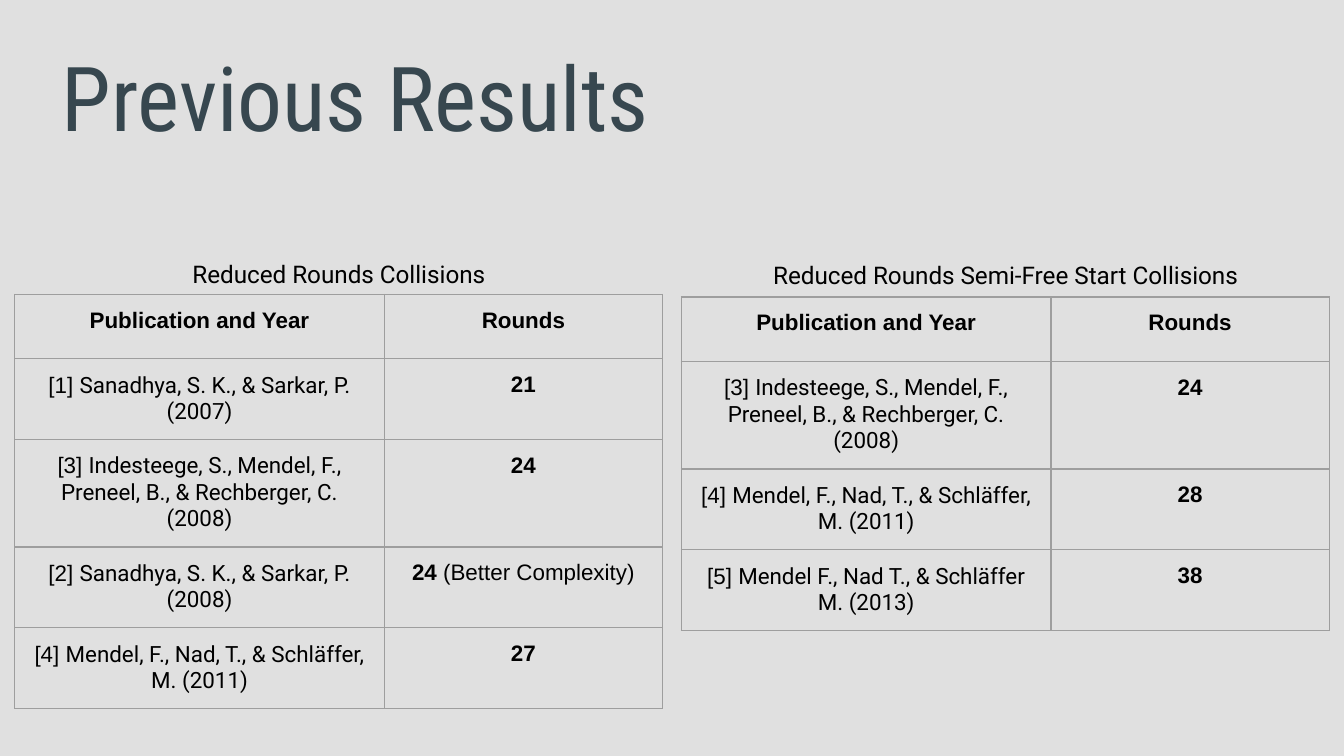
from lxml import etree
from pptx import Presentation
from pptx.dml.color import RGBColor
from pptx.enum.text import MSO_ANCHOR, PP_ALIGN
from pptx.oxml.ns import qn
from pptx.util import Inches, Pt

CENTER, LEFT = PP_ALIGN.CENTER, PP_ALIGN.LEFT
TOP, MIDDLE = MSO_ANCHOR.TOP, MSO_ANCHOR.MIDDLE

COLORS = {"background": "E0E0E0", "title": "37474F", "text": "000000", "border": "9E9E9E"}
PLAIN_TABLE_STYLE = "{2D5ABB26-0587-4C30-8999-92F81FD0307C}"
SLIDE_WIDTH = 10
SLIDE_HEIGHT = SLIDE_WIDTH * 9 / 16
PADDING = 0.1
COLUMNS = (2.75, 2.07)
ROW_HEIGHT, TALL_ROW_HEIGHT = 0.48, 0.69
TABLE_FRAME = 3.28
CAPTION_HEIGHT = 0.36
BORDER_WIDTH = 0.75

TITLE = "Previous Results"
HEADINGS = ("Publication and Year", "Rounds")
RESULTS = [
    {
        "caption": "Reduced Rounds Collisions",
        "left": 0.11,
        "caption_top": 1.83,
        "table_top": 2.19,
        "tall_rows": {2},
        "entries": [
            ("[1] ", "Sanadhya, S. K., & Sarkar, P. (2007)", "21", ""),
            ("[3] ", "Indesteege, S., Mendel, F., Preneel, B., & Rechberger, C. (2008)", "24", ""),
            ("[2] ", "Sanadhya, S. K., & Sarkar, P. (2008)", "24", " (Better Complexity)"),
            ("[4] ", "Mendel, F., Nad, T., & Schläffer, M. (2011)", "27", ""),
        ],
    },
    {
        "caption": "Reduced Rounds Semi-Free Start Collisions",
        "left": 5.07,
        "caption_top": 1.84,
        "table_top": 2.21,
        "tall_rows": set(),
        "entries": [
            ("[3] ", "Indesteege, S., Mendel, F., Preneel, B., & Rechberger, C. (2008)", "24", ""),
            ("[4] ", "Mendel, F., Nad, T., & Schläffer, M. (2011)", "28", ""),
            ("[5] ", "Mendel F., Nad T., & Schläffer M. (2013)", "38", ""),
        ],
    },
]


def rgb(name):
    return RGBColor.from_string(COLORS[name])


def write(frame, runs, size, color="text", align=CENTER):
    paragraph = frame.paragraphs[0]
    paragraph.alignment = align
    for text, font, bold in runs:
        run = paragraph.add_run()
        run.text = text
        run.font.name = font
        run.font.size = Pt(size)
        run.font.bold = bold
        run.font.color.rgb = rgb(color)


def set_padding(holder):
    holder.margin_left = holder.margin_right = Inches(PADDING)
    holder.margin_top = holder.margin_bottom = Inches(PADDING)


def add_text(slide, box, runs, size, color="text", align=CENTER, anchor=TOP):
    frame = slide.shapes.add_textbox(*map(Inches, box)).text_frame
    frame.word_wrap = True
    frame.vertical_anchor = anchor
    set_padding(frame)
    write(frame, runs, size, color, align)


def outline(cell):
    properties = cell._tc.get_or_add_tcPr()
    for side in ("a:lnL", "a:lnR", "a:lnT", "a:lnB"):
        line = etree.SubElement(properties, qn(side), w=str(Pt(BORDER_WIDTH)))
        fill = etree.SubElement(line, qn("a:solidFill"))
        etree.SubElement(fill, qn("a:srgbClr"), val=COLORS["border"])


def table_rows(entries):
    yield [[(heading, "Arial", True)] for heading in HEADINGS]
    for reference, publication, rounds, remark in entries:
        rounds_runs = [(rounds, "Arial", True)]
        if remark:
            rounds_runs.append((remark, "Arial", False))
        yield [[(reference, "Arial", False), (publication, "Roboto", False)], rounds_runs]


def add_results(slide, result):
    left = result["left"]
    rows = list(table_rows(result["entries"]))
    box = map(Inches, (left, result["table_top"], TABLE_FRAME, TABLE_FRAME))
    holder = slide.shapes.add_table(len(rows), len(COLUMNS), *box)
    table = holder.table
    table.first_row = table.horz_banding = False
    table._tbl.tblPr.find(qn("a:tableStyleId")).text = PLAIN_TABLE_STYLE
    for column, column_width in zip(table.columns, COLUMNS):
        column.width = Inches(column_width)
    for index, (row, contents) in enumerate(zip(table.rows, rows)):
        row.height = Inches(TALL_ROW_HEIGHT if index in result["tall_rows"] else ROW_HEIGHT)
        for cell, runs in zip(row.cells, contents):
            set_padding(cell)
            outline(cell)
            cell.fill.background()
            write(cell.text_frame, runs, 12)
    holder.width = holder.height = Inches(TABLE_FRAME)
    add_text(slide, (left, result["caption_top"], sum(COLUMNS), CAPTION_HEIGHT),
             [(result["caption"], "Roboto", False)], 13)


def main():
    deck = Presentation()
    deck.slide_width, deck.slide_height = Inches(SLIDE_WIDTH), Inches(SLIDE_HEIGHT)
    slide = deck.slides.add_slide(deck.slide_layouts[6])
    slide.background.fill.solid()
    slide.background.fill.fore_color.rgb = rgb("background")
    add_text(slide, (0.36, 0.1, 8.89, 1.22), [(TITLE, "Roboto Condensed", False)],
             48, "title", LEFT, MIDDLE)
    for result in RESULTS:
        add_results(slide, result)
    deck.save("out.pptx")


if __name__ == "__main__":
    main()
